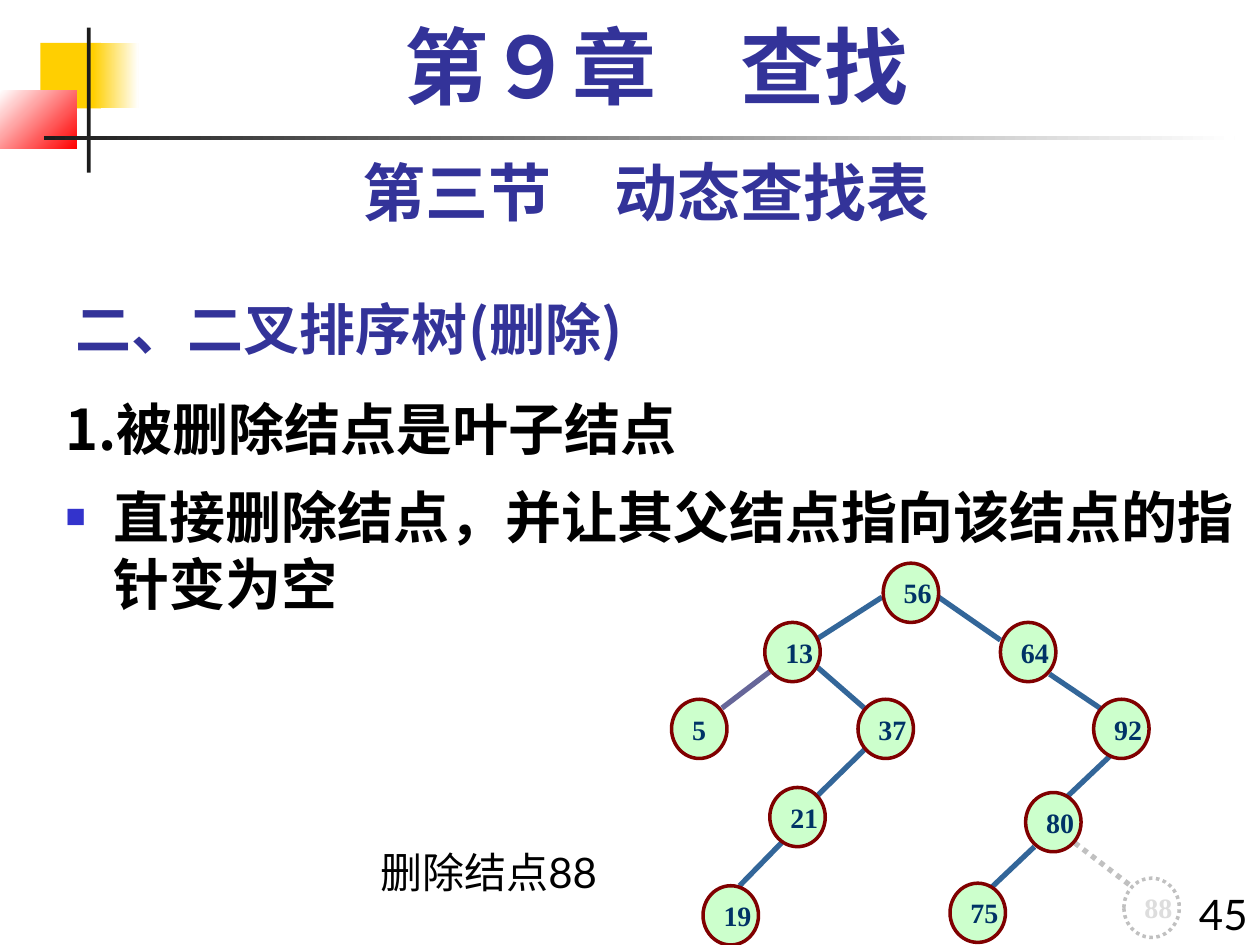
from dataclasses import dataclass

from pptx import Presentation, oxml
from pptx.dml.color import RGBColor
from pptx.enum import dml, shapes, text
from pptx.oxml import ns
from pptx.util import Inches, Pt


@dataclass(frozen=True)
class Theme:
    heading: str = "333399"
    ink: str = "000000"
    bullet: str = "3333CC"
    yellow: str = "FFCF01"
    red: str = "FF0000"
    dark: str = "1C1C1C"
    white: str = "FFFFFF"
    node_fill: str = "CCFFCC"
    node_line: str = "800000"
    node_text: str = "003366"
    edge: str = "336699"
    edge_alt: str = "666699"
    removed_line: str = "C0C0C0"
    removed_text: str = "DDDDDD"
    chapter_size: int = 48
    section_size: int = 36
    body_size: int = 32
    label_size: int = 24
    node_size: int = 16
    cjk: str = "Noto Sans CJK SC"
    sans: str = "Lato"
    serif: str = "Times New Roman"


theme = Theme()
rgb = RGBColor.from_string


def style(paragraph, size, color, font, bold=True, align=text.PP_ALIGN.LEFT, before=0, spacing=1.2):
    paragraph.alignment = align
    paragraph.space_before = Pt(before)
    paragraph.line_spacing = Pt(round(size * spacing, 1))
    for run in paragraph.runs:
        run.font.size, run.font.bold = Pt(size), bold
        run.font.color.rgb = rgb(color)
        run.font.name = font
        east_asian = oxml.parse_xml(f'<a:ea {ns.nsdecls("a")} typeface="{theme.cjk}"/>')
        run.font._element.append(east_asian)


def add_filled(kind, left, top, width, height, colors):
    shape = slide.shapes.add_shape(kind, Inches(left), Inches(top), Inches(width), Inches(height))
    shape.shadow.inherit = False
    shape.line.fill.background()
    if len(colors) == 1:
        shape.fill.solid()
        shape.fill.fore_color.rgb = rgb(colors[0])
    else:
        shape.fill.gradient()
        shape.fill.gradient_angle = 0
        for stop, color in zip(shape.fill.gradient_stops, colors):
            stop.color.rgb = rgb(color)
    return shape


prs = Presentation()
prs.slide_width, prs.slide_height = Inches(10), Inches(7.5)
slide = prs.slides.add_slide(prs.slide_layouts[1])

# Corner ornament and rules
rect = shapes.MSO_SHAPE.RECTANGLE
add_filled(rect, 0.32, 0.34, 0.48, 0.52, [theme.yellow])
add_filled(rect, 0.74, 0.34, 0.36, 0.52, [theme.yellow, theme.white])
red_block = add_filled(rect, 0, 0.72, 0.61, 0.46, [theme.white, theme.red])
red_block.fill.gradient_angle = 315
add_filled(rect, 0.69, 0.22, 0.03, 1.15, [theme.dark])
add_filled(rect, 0.35, 1.08, 9.45, 0.03, [theme.dark, theme.white])

# Topic title
topic = slide.shapes.title
topic.left, topic.top, topic.width, topic.height = map(Inches, (0.5, 2.17, 6.25, 0.75))
topic.text_frame.text = "二、二叉排序树(删除)"
topic.text_frame.vertical_anchor = text.MSO_ANCHOR.BOTTOM
topic.text_frame.auto_size = text.MSO_AUTO_SIZE.NONE
style(topic.text_frame.paragraphs[0], theme.body_size, theme.heading, theme.cjk)

# Rule for deleting a leaf
rule = slide.placeholders[1]
rule.left, rule.top, rule.width, rule.height = map(Inches, (0.42, 3.08, 9.58, 4.42))
rule.text_frame.text = "1.被删除结点是叶子结点\n直接删除结点，并让其父结点指向该结点的指针变为空"
rule.text_frame.auto_size = text.MSO_AUTO_SIZE.NONE
bullets = [
    ["<a:buNone {}/>"],
    [f'<a:buClr {{}}><a:srgbClr val="{theme.bullet}"/></a:buClr>',
     '<a:buSzPct {} val="60000"/>', '<a:buChar {} char="■"/>'],
]
for paragraph, bullet in zip(rule.text_frame.paragraphs, bullets):
    style(paragraph, theme.body_size, theme.ink, theme.cjk, before=12)
    properties = paragraph._p.get_or_add_pPr()
    properties.set("marL", str(Inches(0.38)))
    properties.set("indent", str(Inches(-0.38)))
    for part in bullet:
        properties.append(oxml.parse_xml(part.format(ns.nsdecls("a"))))

# Chapter, section, deletion label and page number
center, left_align, right = text.PP_ALIGN.CENTER, text.PP_ALIGN.LEFT, text.PP_ALIGN.RIGHT
captions = [
    ("第９章　查找", (0.67, 0.17, 9.08, 0.83), theme.chapter_size, theme.heading, theme.serif, True, center, 12, 1.04),
    ("第三节　动态查找表", (0.5, 1.17, 9.25, 0.7), theme.section_size, theme.heading, theme.sans, True, center, 22.5, 1.2),
    ("删除结点88", (2.92, 6.67, 2.08, 0.5), theme.label_size, theme.ink, theme.sans, False, left_align, 15, 1.2),
    ("45", (9.33, 7, 0.67, 0.59), theme.label_size, theme.ink, theme.sans, False, right, 15, 1.2),
]
for words, box, *look in captions:
    caption = slide.shapes.add_textbox(*map(Inches, box))
    caption.text_frame.word_wrap = True
    caption.text_frame.text = words
    style(caption.text_frame.paragraphs[0], *look)

# Tree edges
edges = [
    (7, 4.74, 6.47, 5.08), (6.11, 5.33, 5.73, 5.62), (7.45, 4.74, 7.94, 5.08),
    (6.47, 5.28, 6.86, 5.62), (6.86, 5.95, 6.38, 6.42), (8.33, 5.35, 8.73, 5.62),
    (8.81, 6, 8.43, 6.36), (6.27, 6.62, 5.87, 7.03), (8.21, 6.72, 7.83, 7.08),
    (8.53, 6.69, 9, 7.05),
]
edge_to_5, edge_to_removed = edges[1], edges[-1]
edge_colors = {edge_to_5: theme.edge_alt, edge_to_removed: theme.removed_line}
for ends in edges:
    edge = slide.shapes.add_connector(shapes.MSO_CONNECTOR.STRAIGHT, *map(Inches, ends))
    edge.line.width = Pt(3)
    edge.line.color.rgb = rgb(edge_colors.get(ends, theme.edge))
    if ends == edge_to_removed:
        edge.line.dash_style = dml.MSO_LINE.ROUND_DOT
    edge._element.spPr.append(oxml.parse_xml(f'<a:effectLst {ns.nsdecls("a")}/>'))

# Tree nodes, with the deleted one dotted
nodes = {
    56: (7.01, 4.47), 13: (6.07, 4.94), 64: (7.94, 4.94), 5: (5.33, 5.55),
    37: (6.81, 5.55), 92: (8.68, 5.55), 21: (6.11, 6.25), 80: (8.14, 6.29),
    19: (5.58, 7.03), 75: (7.54, 7.01), 88: (8.92, 6.97),
}
for key, (left, top) in nodes.items():
    removed = key == 88
    node = add_filled(shapes.MSO_SHAPE.OVAL, left, top, 0.44, 0.47,
                      [theme.white if removed else theme.node_fill])
    node.line.color.rgb = rgb(theme.removed_line if removed else theme.node_line)
    node.line.width = Pt(2)
    if removed:
        node.line.dash_style = dml.MSO_LINE.ROUND_DOT
    node.text_frame.text = str(key)
    node.text_frame.word_wrap = False
    node.text_frame.vertical_anchor = text.MSO_ANCHOR.MIDDLE
    style(node.text_frame.paragraphs[0], theme.node_size,
          theme.removed_text if removed else theme.node_text, theme.serif)

prs.save("out.pptx")
